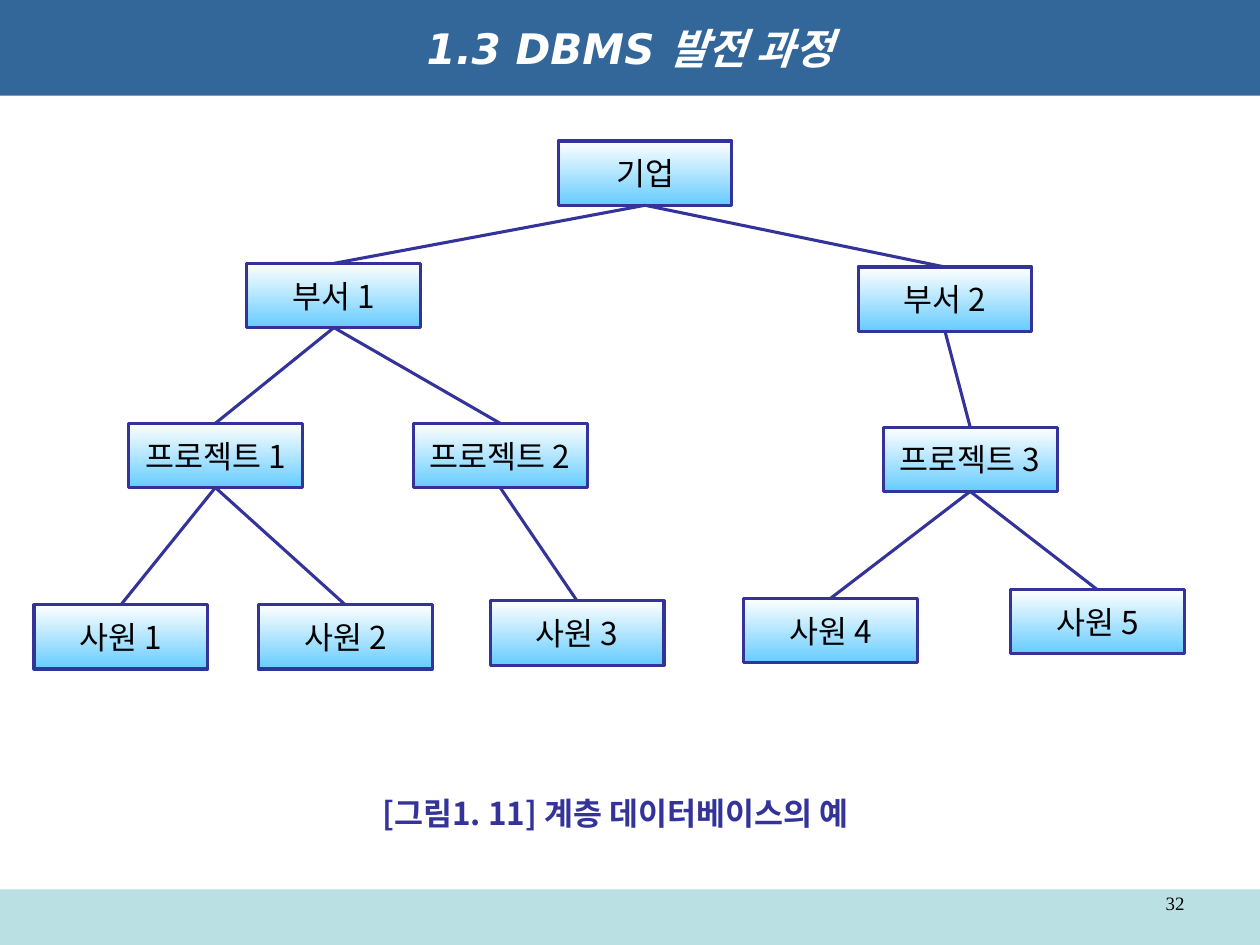
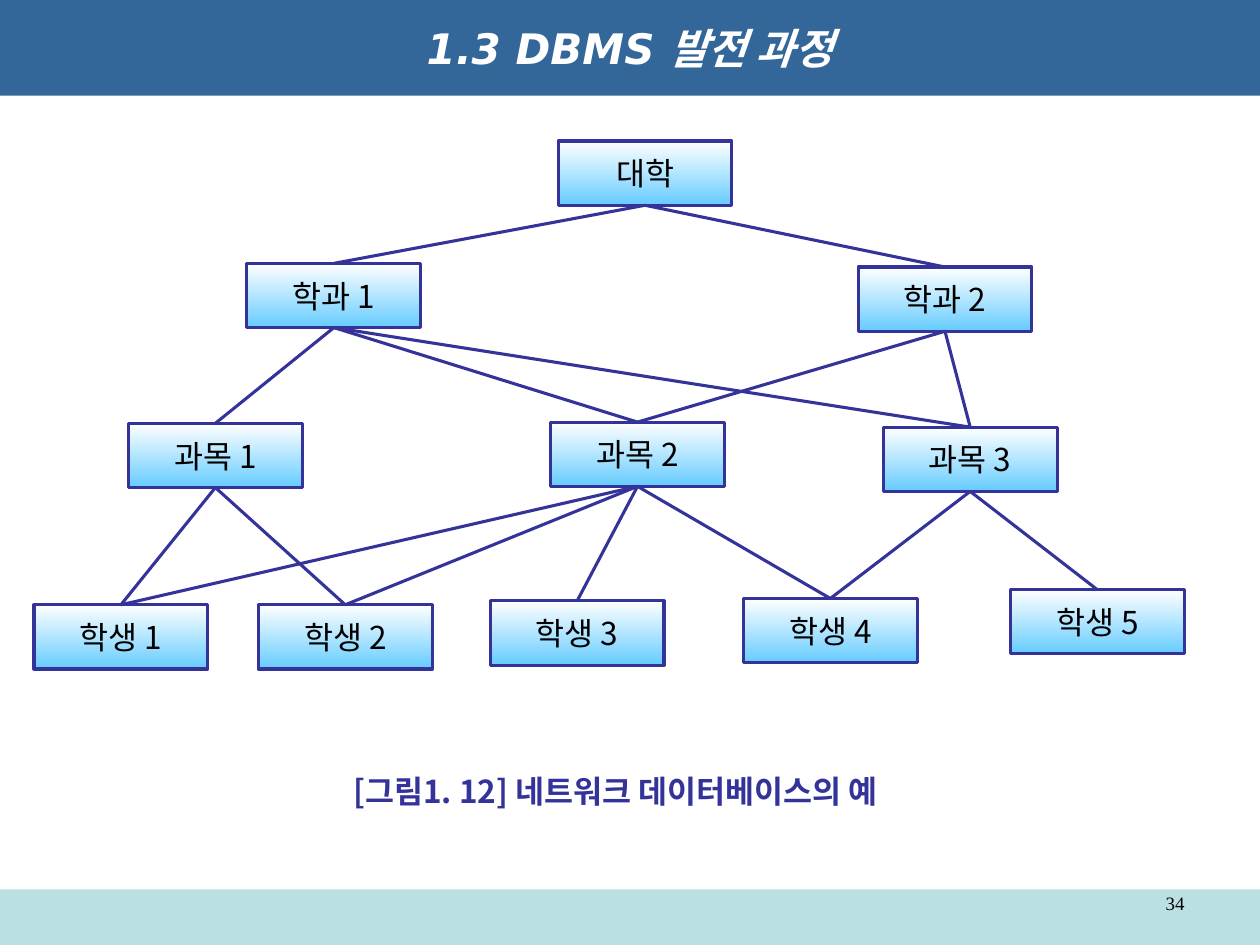
from pptx import Presentation
from pptx.dml.color import RGBColor
from pptx.enum.shapes import MSO_CONNECTOR, MSO_SHAPE
from pptx.enum.text import MSO_ANCHOR, PP_ALIGN
from pptx.oxml.ns import qn
from pptx.util import Pt
from lxml import etree

WHITE = RGBColor(0xFF, 0xFF, 0xFF)
BLACK = RGBColor(0x00, 0x00, 0x00)
TITLE_BLUE = RGBColor(0x33, 0x66, 0x99)
FOOTER_TEAL = RGBColor(0xBB, 0xE0, 0xE3)
SKY = RGBColor(0x66, 0xCC, 0xFF)
INDIGO = RGBColor(0x33, 0x33, 0x99)
KOREAN = "Noto Sans CJK KR"
NODE_FONT = "Noto Sans CJK JP"
NODE_W, NODE_H, LINE_W = 99.36, 36.72, 1.75
TOP, BOTTOM = 0, 2  # connection sites of a rectangle

# Node places: centre x and top y
PLACES = {
    "root": (368.6, 80.6),
    "unit1": (190.8, 150.5), "unit2": (540, 152.6),
    "item1": (123.1, 241.9), "item2": (285.8, 241.9), "item3": (554.4, 244.1),
    "leaf1": (69.1, 345.6), "leaf2": (197.3, 345.6), "leaf3": (329.8, 343.4),
    "leaf4": (474.5, 342), "leaf5": (627.1, 337),
}
# Links that both databases have
LINKS = [
    ("root", "unit1"), ("root", "unit2"),
    ("unit1", "item1"), ("unit1", "item2"), ("unit2", "item3"),
    ("item1", "leaf1"), ("item1", "leaf2"), ("item2", "leaf3"),
    ("item3", "leaf4"), ("item3", "leaf5"),
]
NETWORK_LINKS = [
    ("unit2", "item2"), ("unit1", "item3"),
    ("item2", "leaf1"), ("item2", "leaf2"), ("item2", "leaf4"),
]
SLIDES = [
    {"number": "32", "places": PLACES, "links": LINKS,
     "words": {"root": "기업", "unit": "부서", "item": "프로젝트", "leaf": "사원"},
     "caption": "[그림1. 11] 계층 데이터베이스의 예", "caption_box": (196.6, 450, 310.3, 28.8)},
    {"number": "34", "places": {**PLACES, "item2": (364.3, 241.2)},
     "links": LINKS + NETWORK_LINKS,
     "words": {"root": "대학", "unit": "학과", "item": "과목", "leaf": "학생"},
     "caption": "[그림1. 12] 네트워크 데이터베이스의 예", "caption_box": (165.6, 437.8, 372.2, 28.8)},
]


def add_rect(s, x, y, w, h, color=None):
    sp = s.shapes.add_shape(MSO_SHAPE.RECTANGLE, Pt(x), Pt(y), Pt(w), Pt(h))
    sp.shadow.inherit = False
    sp.line.fill.background()
    if color is not None:
        sp.fill.solid()
        sp.fill.fore_color.rgb = color
    return sp


def set_text(sp, text, size, color, font, asian=KOREAN, align=PP_ALIGN.CENTER,
             bold=False, italic=False):
    tf = sp.text_frame
    tf.text = text
    p = tf.paragraphs[0]
    p.alignment = align
    r = p.runs[0]
    r.font.size, r.font.name = Pt(size), font
    r.font.bold, r.font.italic = bold, italic
    r.font.color.rgb = color
    r.font._element.find(qn("a:latin")).addnext(
        etree.Element(qn("a:ea"), typeface=asian))
    return tf


prs = Presentation()
prs.slide_width, prs.slide_height = Pt(720), Pt(540)

for page in SLIDES:
    s = prs.slides.add_slide(prs.slide_layouts[6])

    # Footer band and page number
    add_rect(s, 0, 508.3, 720, 31.7, FOOTER_TEAL)
    sp = s.shapes.add_textbox(Pt(516.2), Pt(508.3), Pt(167.8), Pt(20.9))
    tf = set_text(sp, page["number"], 10.8, BLACK, "Times New Roman", align=PP_ALIGN.RIGHT)
    tf.word_wrap = True
    tf.paragraphs[0].line_spacing = 0.8

    # Title band
    sp = add_rect(s, 0, 0, 720, 54.7, TITLE_BLUE)
    tf = set_text(sp, "1.3 DBMS 발전 과정", 24, WHITE, "DejaVu Sans", bold=True, italic=True)
    tf.vertical_anchor = MSO_ANCHOR.MIDDLE

    # Nodes
    nodes = {}
    for name, (center, top) in page["places"].items():
        sp = add_rect(s, center - NODE_W / 2, top, NODE_W, NODE_H)
        sp.fill.gradient()
        sp.fill.gradient_angle = 270
        for stop, color in zip(sp.fill.gradient_stops, (WHITE, SKY)):
            stop.color.rgb = color
        sp.line.color.rgb = INDIGO
        sp.line.width = Pt(LINE_W)
        label = page["words"][name[:4]]
        if name != "root":
            label += " " + name[4:]
        tf = set_text(sp, label, 18, BLACK, NODE_FONT, NODE_FONT)
        tf.vertical_anchor = MSO_ANCHOR.MIDDLE
        tf.word_wrap = False
        tf.margin_left = tf.margin_right = Pt(11.5)
        nodes[name] = sp

    # Links from parent to child
    for parent, child in page["links"]:
        line = s.shapes.add_connector(MSO_CONNECTOR.STRAIGHT, 0, 0, 0, 0)
        line.begin_connect(nodes[parent], BOTTOM)
        line.end_connect(nodes[child], TOP)
        line.line.color.rgb = INDIGO
        line.line.width = Pt(LINE_W)
        etree.SubElement(line._element.spPr, qn("a:effectLst"))

    # Caption
    sp = s.shapes.add_textbox(*[Pt(v) for v in page["caption_box"]])
    tf = set_text(sp, page["caption"], 18, INDIGO, KOREAN, bold=True)
    tf.word_wrap = True

prs.save("out.pptx")
